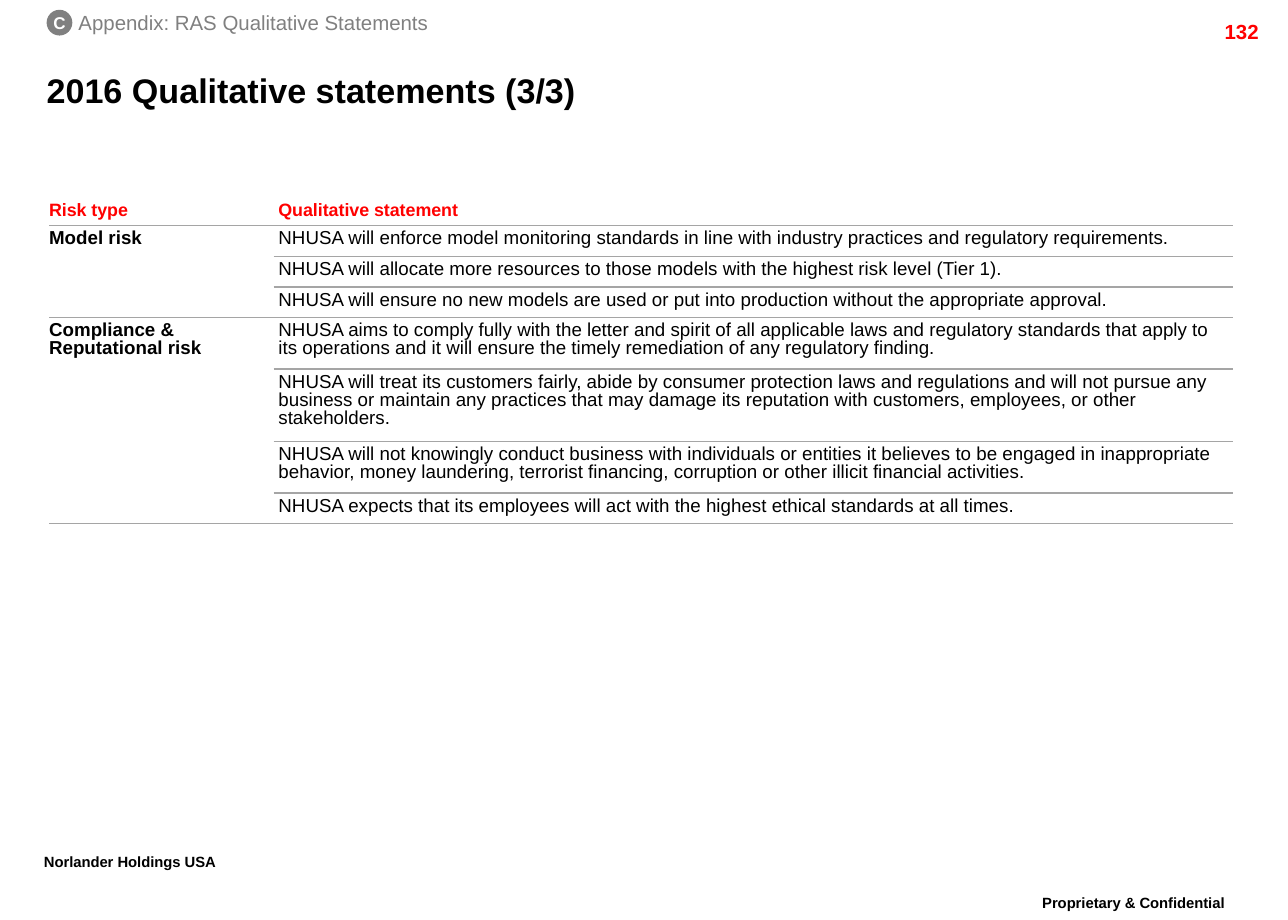
"""Build the appendix slide listing the 2016 qualitative risk statements."""
from lxml import etree
from pptx import Presentation
from pptx.dml.color import RGBColor
from pptx.enum import shapes, text
from pptx.oxml import ns
from pptx.util import Inches, Pt

RED = RGBColor(0xFF, 0x00, 0x00)
BLACK = RGBColor(0x00, 0x00, 0x00)
WHITE = RGBColor(0xFF, 0xFF, 0xFF)
GRAY = RGBColor(0x80, 0x80, 0x80)
RULE = "A5A5A5"
LEFT, CENTER, RIGHT = text.PP_ALIGN.LEFT, text.PP_ALIGN.CENTER, text.PP_ALIGN.RIGHT
TOP, MIDDLE = text.MSO_ANCHOR.TOP, text.MSO_ANCHOR.MIDDLE


def write(frame, words, size, color, bold, align=LEFT):
    frame.text = words
    paragraph = frame.paragraphs[0]
    paragraph.alignment = align
    font = paragraph.runs[0].font
    font.name, font.size, font.bold = "Arial", Pt(size), bold
    font.color.rgb = color
    return paragraph


def set_borders(cell, ruled_sides):
    properties = cell._tc.get_or_add_tcPr()
    for position, side in enumerate(("lnL", "lnR", "lnT", "lnB")):
        line = etree.Element(ns.qn(f"a:{side}"), w=str(Pt(1)))
        if side in ruled_sides:
            fill = etree.SubElement(line, ns.qn("a:solidFill"))
            etree.SubElement(fill, ns.qn("a:srgbClr"), val=RULE)
        else:
            etree.SubElement(line, ns.qn("a:noFill"))
        properties.insert(position, line)


deck = Presentation()
deck.slide_width, deck.slide_height = Inches(10.5), Inches(7.5)
slide = deck.slides.add_slide(deck.slide_layouts[6])

labels = [
    ("Proprietary & Confidential", (8.15, 7.25, 2.18, 0.35), 15, BLACK, True, CENTER, 0.1, True),
    ("Norlander Holdings USA", (0.26, 6.91, 1.91, 0.35), 15, BLACK, True, LEFT, 0.1, True),
    ("132", (9.36, 0.11, 1, 0.24), 12, RED, True, RIGHT, 0.1, False),
    ("2016 Qualitative statements (3/3)", (0.38, 0.49, 9.48, 0.48), 20, BLACK, True, LEFT, 0, False),
    ("Appendix: RAS Qualitative Statements", (0.64, 0.08, 3.2, 0.2), 12, GRAY, False, LEFT, 0, False),
]
for words, box, size, color, bold, align, inset, raised in labels:
    frame = slide.shapes.add_textbox(*map(Inches, box)).text_frame
    frame.word_wrap = True
    frame.margin_left = frame.margin_right = Inches(inset)
    frame.margin_top = frame.margin_bottom = Inches(inset / 2)
    frame.vertical_anchor = MIDDLE if size == 20 else TOP
    paragraph = write(frame, words, size, color, bold, align)
    if raised:
        paragraph.line_spacing = 0.86
        paragraph.runs[0].font._element.set("baseline", "30000")

section = slide.shapes.add_shape(
    shapes.MSO_SHAPE.OVAL, Inches(0.38), Inches(0.08), Inches(0.21), Inches(0.21))
section.shadow.inherit = False
section.fill.solid()
section.fill.fore_color.rgb = GRAY
section.line.fill.background()
section.text_frame.word_wrap = False
section.text_frame.vertical_anchor = MIDDLE
write(section.text_frame, "C", 10, WHITE, True, CENTER)

risks = [
    ("Risk type", ["Qualitative statement"]),
    ("Model risk", [
        "NHUSA will enforce model monitoring standards in line with industry practices and "
        "regulatory requirements.",
        "NHUSA will allocate more resources to those models with the highest risk level (Tier 1).",
        "NHUSA will ensure no new models are used or put into production without the "
        "appropriate approval.",
    ]),
    ("Compliance & Reputational risk", [
        "NHUSA aims to comply fully with the letter and spirit of all applicable laws and "
        "regulatory standards that apply to its operations and it will ensure the timely "
        "remediation of any regulatory finding.",
        "NHUSA will treat its customers fairly, abide by consumer protection laws and "
        "regulations and will not pursue any business or maintain any practices that may "
        "damage its reputation with customers, employees, or other stakeholders.",
        "NHUSA will not knowingly conduct business with individuals or entities it believes "
        "to be engaged in inappropriate behavior, money laundering, terrorist financing, "
        "corruption or other illicit financial activities.",
        "NHUSA expects that its employees will act with the highest ethical standards at all "
        "times.",
    ]),
]
row_heights = [0.24, 0.25, 0.25, 0.25, 0.42, 0.59, 0.42, 0.25]
statements = slide.shapes.add_table(
    len(row_heights), 2, Inches(0.4), Inches(1.6), Inches(9.65), Inches(sum(row_heights))).table
statements.first_row = statements.horz_banding = False
for column, width in zip(statements.columns, (1.83, 7.82)):
    column.width = Inches(width)
for row, height in zip(statements.rows, row_heights):
    row.height = Inches(height)

start = 0
for risk, lines in risks:
    last = start + len(lines) - 1
    header = start == 0
    for offset, statement in enumerate(lines):
        index = start + offset
        for column, words in enumerate((risk if offset == 0 else "", statement)):
            cell = statements.cell(index, column)
            cell.fill.background()
            cell.margin_left = Inches(0.04 * column)
            cell.margin_right = cell.margin_top = cell.margin_bottom = Inches(0.04)
            cell.vertical_anchor = MIDDLE if header else TOP
            ruled = {"lnB"} if column == 1 or index in (start, last) else set()
            if not header and (column == 1 or offset == 0):
                ruled.add("lnT")
            set_borders(cell, ruled)
            if words:
                paragraph = write(cell.text_frame, words, 10.5 if header else 11,
                                  RED if header else BLACK, header or column == 0)
                paragraph.line_spacing = 0.86
                paragraph.space_after = Pt(2)
    if last > start:
        statements.cell(start, 0).merge(statements.cell(last, 0))
    start = last + 1

deck.save("out.pptx")
